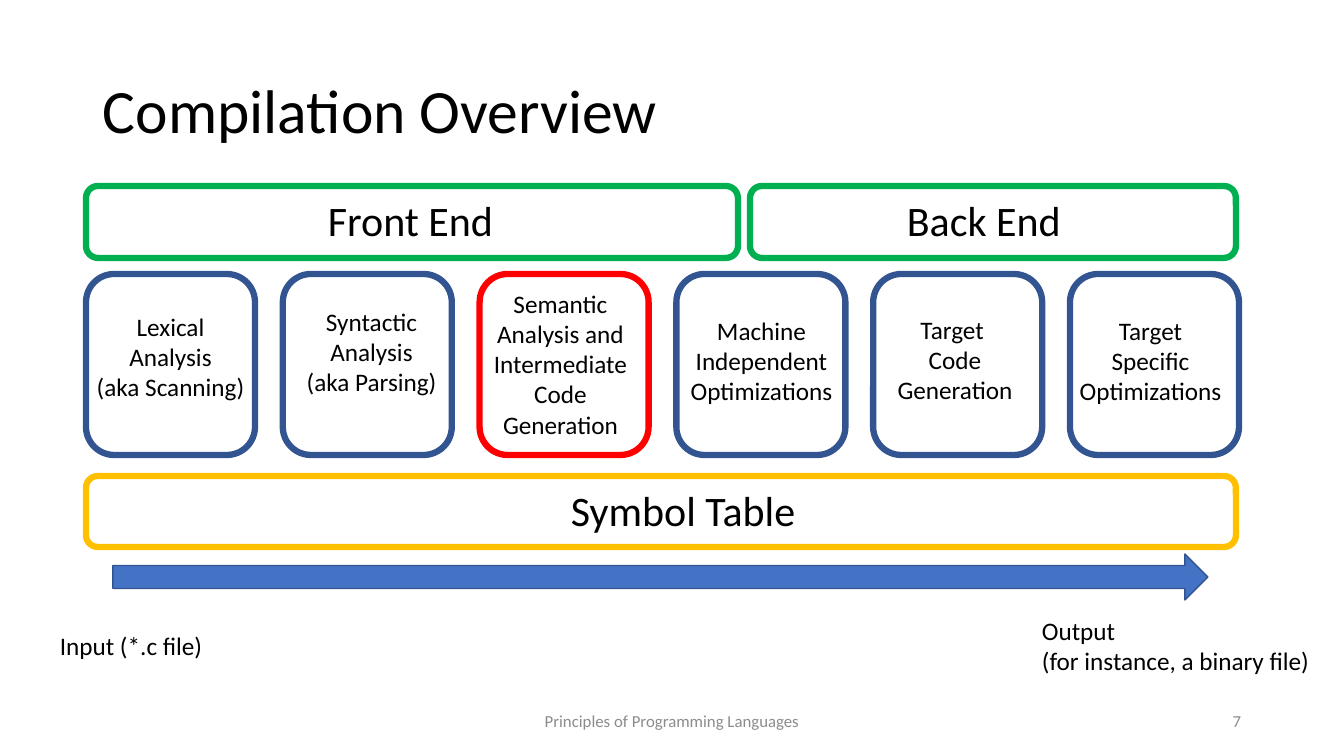
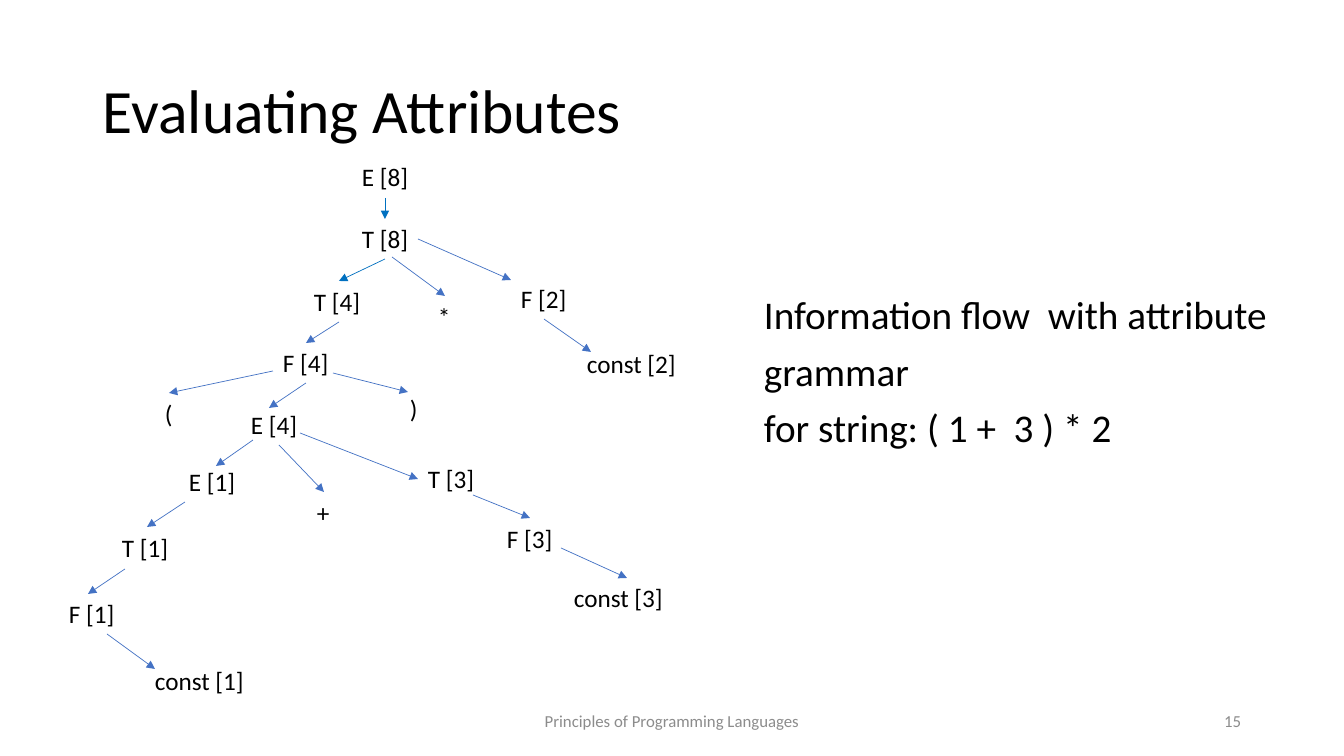
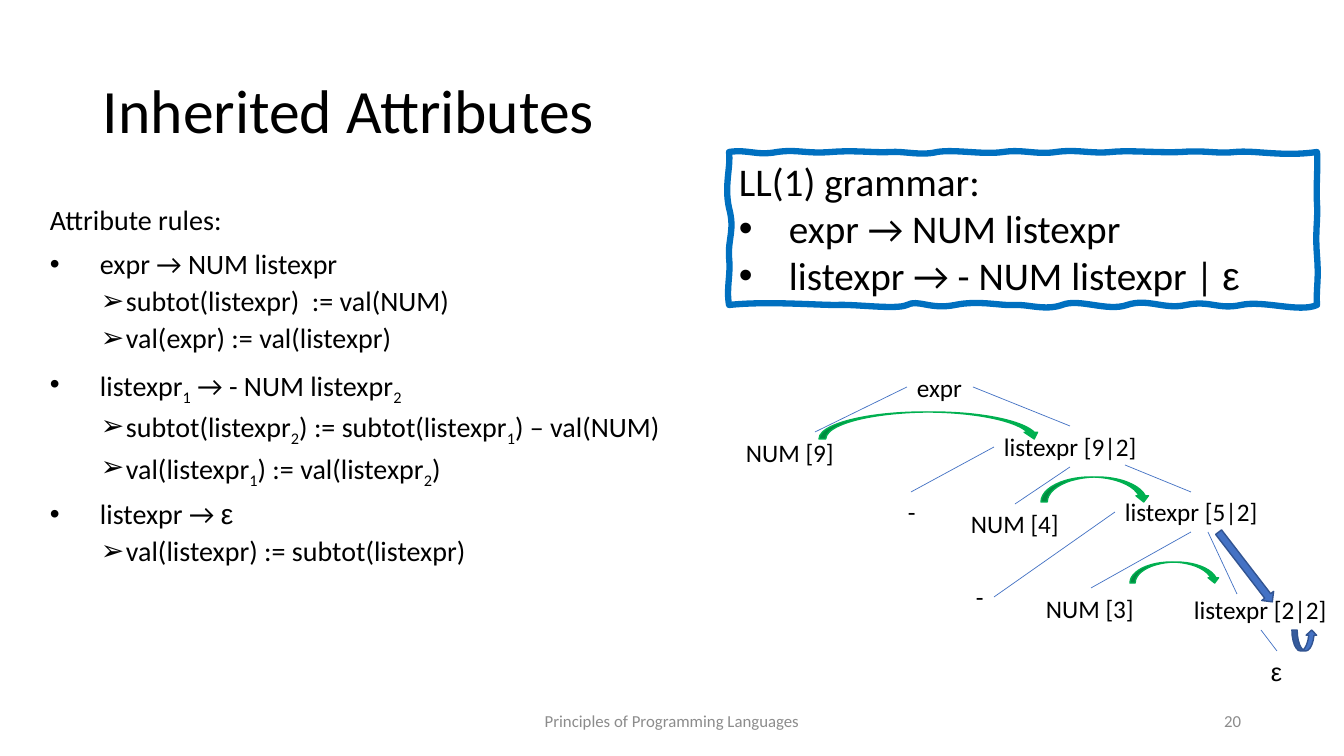
from lxml.etree import SubElement
from pptx import Presentation
from pptx.dml.color import RGBColor
from pptx.enum.shapes import MSO_CONNECTOR, MSO_SHAPE
from pptx.enum.text import MSO_ANCHOR, PP_ALIGN
from pptx.oxml.ns import qn
from pptx.util import Pt

PX = 914400 / 100.8
BLACK = RGBColor(0x00, 0x00, 0x00)
GREY = RGBColor(0x8C, 0x8C, 0x8C)
BLUE = RGBColor(0x44, 0x72, 0xC4)
NAVY = RGBColor(0x32, 0x54, 0x91)
AZURE = RGBColor(0x00, 0x70, 0xC0)
GREEN = RGBColor(0x00, 0xB0, 0x50)
RED = RGBColor(0xFF, 0x00, 0x00)
GOLD = RGBColor(0xFF, 0xC0, 0x00)
LEFT, CENTER, RIGHT = PP_ALIGN.LEFT, PP_ALIGN.CENTER, PP_ALIGN.RIGHT
TOP, MIDDLE = MSO_ANCHOR.TOP, MSO_ANCHOR.MIDDLE

# Bullet: left margin, first-line indent, space before
BULLETS = {"•": (50, -50, 10), "➢": (76, -25, 5)}
# Label width by number of letters
WIDTHS = {1: 28, 3: 31, 4: 66, 5: 68, 7: 109, 9: 110, 14: 155}


def add(page, kind, box, fill=None, line=None, width=1):
    """Add a preset shape, or a text box when kind is None."""
    place = [int(n * PX) for n in box]
    if kind is None:
        return page.shapes.add_textbox(*place)
    shape = page.shapes.add_shape(kind, *place)
    shape.shadow.inherit = False
    if fill is None:
        shape.fill.background()
    else:
        shape.fill.solid()
        shape.fill.fore_color.rgb = fill
    shape.line.color.rgb = line
    shape.line.width = Pt(width)
    return shape


def write(shape, text, size=18, color=BLACK, align=LEFT, anchor=TOP,
          wrap=False, lead=None, gaps=False):
    """Write lines; _1_ is a subscript, _ε_ is set in Arial."""
    frame = shape.text_frame
    frame.word_wrap = wrap
    frame.vertical_anchor = anchor
    for i, line in enumerate(text.split("\n")):
        para = frame.add_paragraph() if i else frame.paragraphs[0]
        para.alignment = align
        if lead:
            para.line_spacing = lead
        margin, indent, space = BULLETS.get(line[0], (0, 0, 10))
        if gaps:
            para.space_before = Pt(space)
        if margin:
            props = para._p.get_or_add_pPr()
            props.set("marL", str(int(margin * PX)))
            props.set("indent", str(int(indent * PX)))
            SubElement(props, qn("a:buFont")).set("typeface", "Arial")
            SubElement(props, qn("a:buChar")).set("char", line[0])
            line = line[1:]
        for j, piece in enumerate(line.split("_")):
            if not piece:
                continue
            run = para.add_run()
            run.text = piece
            run.font.size = Pt(size)
            run.font.name = "Arial" if piece == "ε" else "Calibri"
            run.font.color.rgb = color
            if j % 2 and piece != "ε":
                run._r.get_or_add_rPr().set("baseline", "-25000")


deck = Presentation()
deck.slide_width, deck.slide_height = int(1344 * PX), int(756 * PX)

# Title, footer and number on every slide
pages = []
for title, number in (("Compilation Overview", "7"),
                      ("Evaluating Attributes", "15"),
                      ("Inherited Attributes", "20")):
    page = deck.slides.add_slide(deck.slide_layouts[6])
    write(add(page, None, (93, 41, 1159, 146)), title, 44,
          anchor=MIDDLE, wrap=True, lead=0.9)
    write(add(page, None, (445, 701, 454, 40)),
          "Principles of Programming Languages", 12, GREY, CENTER, MIDDLE, True)
    write(add(page, None, (949, 701, 302, 40)), number, 12, GREY, RIGHT,
          MIDDLE, True)
    pages.append(page)
phases, tree, rules = pages

# Slide 1: compiler phases
stages = (
    ("Lexical\nAnalysis\n(aka Scanning)", (86, 306, 169, 102)),
    ("Syntactic\nAnalysis\n(aka Parsing)", (296, 301, 151, 102)),
    ("Semantic\nAnalysis and\nIntermediate\nCode Generation", (483, 283, 155, 163)),
    ("Machine Independent Optimizations", (677, 310, 169, 102)),
    ("Target \nCode\nGeneration", (882, 309, 146, 102)),
    ("Target\nSpecific\nOptimizations", (1066, 310, 169, 102)),
)
for i, (text, box) in enumerate(stages):
    add(phases, MSO_SHAPE.ROUNDED_RECTANGLE, (86 + 196.8 * i, 274, 169, 181),
        line=RED if i == 2 else NAVY, width=4.5)
    write(add(phases, None, box), text, align=CENTER, wrap=i > 1)

for text, color, box, spot in (
        ("Front End", GREEN, (86, 186, 652, 72), (318, 190, 187, 61)),
        ("Back End", GREEN, (750, 186, 486, 72), (897, 190, 245, 61)),
        ("Symbol Table", GOLD, (86, 476, 1150, 71), (561, 480, 247, 61))):
    add(phases, MSO_SHAPE.ROUNDED_RECTANGLE, box, line=color, width=4.5)
    write(add(phases, None, spot), text, 30, wrap=text == "Back End")

add(phases, MSO_SHAPE.RIGHT_ARROW, (113, 554, 1095, 46), BLUE, NAVY)
write(add(phases, None, (50, 625, 164, 40)), "Input (*.c file)")
write(add(phases, None, (1032, 610, 291, 71)),
      "Output \n(for instance, a binary file)")

# Slide 2: remark beside the tree
write(add(tree, None, (754, 276, 523, 177)),
      "Information flow  with attribute grammar\nfor string: ( 1 +  3 ) * 2",
      28, wrap=True, lead=1.2)

# Slide 3: attribute rules
write(add(rules, None, (40, 201, 658, 480)), """Attribute rules:
•expr → NUM listexpr
➢subtot(listexpr)  := val(NUM)
➢val(expr) := val(listexpr)
•listexpr_1_ → - NUM listexpr_2_
➢subtot(listexpr_2_) := subtot(listexpr_1_) – val(NUM)
➢val(listexpr_1_) := val(listexpr_2_)
•listexpr → _ε_
➢val(listexpr) := subtot(listexpr)""", 20, wrap=True, lead=0.9, gaps=True)

# Slide 3: wavy grammar frame; each curve is two control points and an end
curves = (
    (748, 149, 756, 156, 777, 152), (797, 149, 806, 154, 831, 152),
    (855, 150, 875, 153, 890, 152), (905, 151, 920, 156, 937, 152),
    (955, 149, 983, 155, 1003, 152), (1023, 149, 1036, 155, 1056, 152),
    (1077, 149, 1091, 154, 1111, 152), (1130, 150, 1157, 153, 1181, 152),
    (1206, 150, 1216, 154, 1235, 152), (1255, 150, 1282, 157, 1317, 152),
    (1318, 167, 1316, 186, 1317, 204), (1318, 221, 1315, 230, 1317, 256),
    (1319, 282, 1316, 287, 1317, 305), (1299, 313, 1264, 300, 1241, 305),
    (1218, 310, 1210, 300, 1186, 305), (1164, 310, 1148, 298, 1127, 305),
    (1107, 312, 1079, 298, 1062, 305), (1045, 311, 1027, 304, 1014, 305),
    (1001, 306, 979, 300, 955, 305), (930, 310, 918, 299, 907, 305),
    (896, 310, 856, 304, 836, 305), (815, 305, 766, 301, 729, 305),
    (726, 287, 731, 276, 729, 257), (728, 238, 735, 230, 729, 208),
    (724, 185, 731, 167, 729, 152),
)
pen = rules.shapes.build_freeform(729, 152, scale=PX)
pen.add_line_segments([curve[4:] for curve in curves], close=True)
frame = pen.convert_to_shape()
for side, curve in zip(list(frame.element.iter(qn("a:lnTo"))), curves):
    bend = side.makeelement(qn("a:cubicBezTo"))
    for x, y in zip(curve[::2], curve[1::2]):
        spot = SubElement(bend, qn("a:pt"))
        spot.set("x", str(x - 729))
        spot.set("y", str(y - 152))
    side.getparent().replace(side, bend)
frame.shadow.inherit = False
frame.fill.background()
frame.line.color.rgb = AZURE
frame.line.width = Pt(4.5)
write(frame, "LL(1) grammar:\n•expr → NUM listexpr\n"
      "•listexpr → - NUM listexpr | _ε_", 28, wrap=True)

# Tree labels
tree_nodes = (
    ("E [8]", 352, 156), ("T [8]", 352, 218), ("T [4]", 304, 281),
    ("F [2]", 511, 278), ("const [2]", 577, 343), ("F [4]", 273, 342),
    ("E [4]", 241, 404), ("E [1]", 179, 461), ("T [1]", 112, 527),
    ("F [1]", 59, 593), ("const [1]", 145, 660), ("(", 155, 393),
    (")", 400, 388), ("+", 307, 492), ("T [3]", 418, 458),
    ("F [3]", 497, 518), ("const [3]", 564, 577), ("*", 428, 296),
)
rule_nodes = (
    ("expr", 907, 367), ("NUM [9]", 736, 432), ("listexpr [9|2]", 994, 426),
    ("-", 898, 491), ("NUM [4]", 961, 503), ("listexpr [5|2]", 1115, 491),
    ("-", 966, 576), ("NUM [3]", 1036, 588), ("listexpr [2|2]", 1184, 589),
    ("_ε_", 1261, 651),
)
for page, nodes in ((tree, tree_nodes), (rules, rule_nodes)):
    for text, x, y in nodes:
        write(add(page, None, (x, y, WIDTHS[len(text)], 40)), text)

# Tree branches
main_links = ((385, 198, 385, 219), (385, 259, 339, 281))
tree_links = (
    (418, 239, 511, 280), (544, 319, 591, 352), (300, 433, 418, 479),
    (473, 495, 530, 518), (561, 548, 627, 578), (339, 322, 306, 343),
    (306, 383, 269, 408), (253, 440, 216, 466), (185, 502, 147, 527),
    (125, 569, 88, 594), (107, 634, 155, 669), (273, 371, 169, 393),
    (333, 373, 408, 392), (392, 257, 445, 296), (279, 445, 324, 492),
)
rule_links = (
    (907, 387, 815, 432), (973, 387, 1070, 426), (994, 447, 911, 492),
    (1125, 465, 1191, 492), (1070, 467, 1015, 504), (1191, 532, 1091, 588),
    (1208, 532, 1237, 594), (1115, 512, 994, 597), (1261, 630, 1277, 651),
)
for page, color, head, links in ((tree, AZURE, True, main_links),
                                 (tree, BLUE, True, tree_links),
                                 (rules, BLUE, False, rule_links)):
    for ends in links:
        link = page.shapes.add_connector(MSO_CONNECTOR.STRAIGHT,
                                         *[int(n * PX) for n in ends])
        link.line.color.rgb = color
        link.line.width = Pt(0.5)
        props = link.element.spPr
        if head:
            SubElement(props.find(qn("a:ln")), qn("a:tailEnd")).set("type", "triangle")
        SubElement(props, qn("a:effectLst"))

# Slide 3: flow of values
for box in ((819, 412, 222, 27), (1041, 477, 109, 25), (1130, 562, 90, 21)):
    add(rules, MSO_SHAPE.CURVED_DOWN_ARROW, box, GREEN, GREEN)
add(rules, MSO_SHAPE.CURVED_UP_ARROW, (1292, 630, 25, 21), BLUE, NAVY)
drop = add(rules, MSO_SHAPE.DOWN_ARROW, (1238, 523, 15, 88), BLUE, NAVY)
drop.rotation = 322.4

deck.save("out.pptx")
